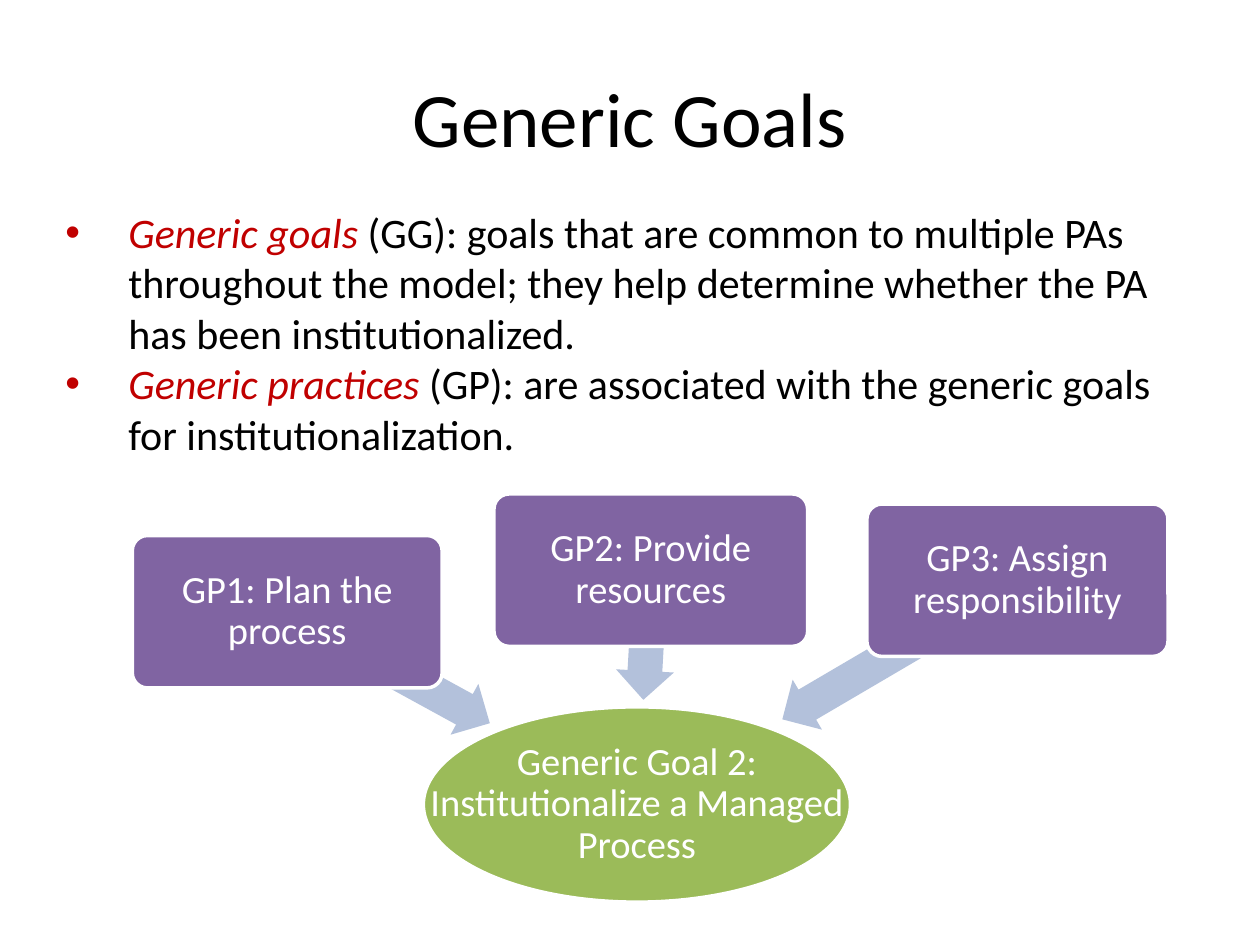
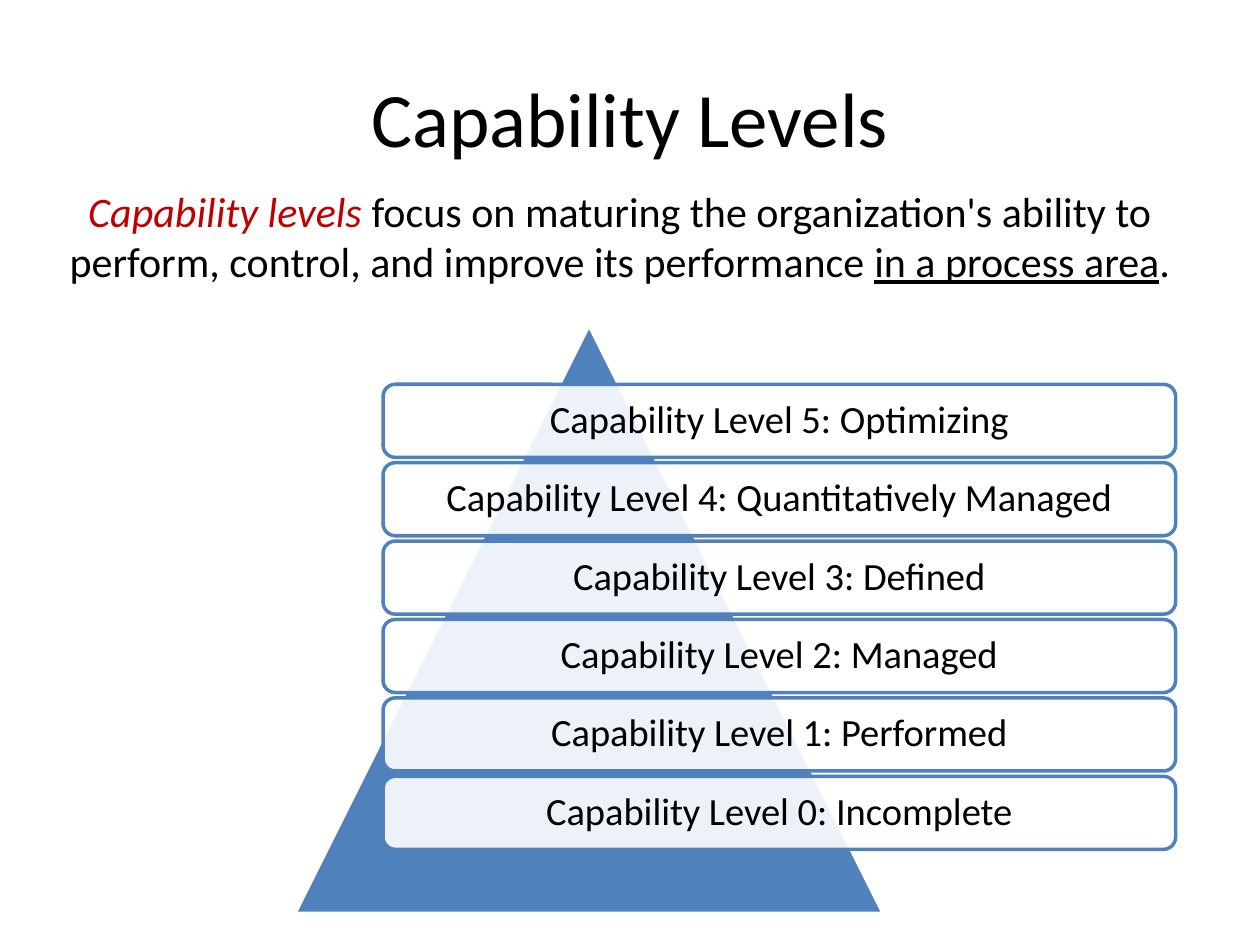
from lxml import etree
from pptx import Presentation
from pptx.dml.color import RGBColor
from pptx.enum.shapes import MSO_SHAPE
from pptx.enum.text import MSO_ANCHOR, PP_ALIGN
from pptx.oxml.ns import qn
from pptx.util import Pt

ROUNDED = MSO_SHAPE.ROUNDED_RECTANGLE
ELLIPSE = MSO_SHAPE.OVAL
ARROW = MSO_SHAPE.LEFT_ARROW
TRIANGLE = MSO_SHAPE.ISOSCELES_TRIANGLE
CENTER, LEFT = PP_ALIGN.CENTER, PP_ALIGN.LEFT
MIDDLE, TOP = MSO_ANCHOR.MIDDLE, MSO_ANCHOR.TOP

FONT = "Calibri"
COLORS = {
    "text": "000000",
    "white": "FFFFFF",
    "term": "C00000",
    "practice": "8064A2",
    "goal": "9BBB59",
    "arrow": "B3C1DB",
    "pyramid": "4F81BD",
}
TITLE_SIZE, BODY_SIZE, LABEL_SIZE = 44, 24, 22
LABEL_SPACING = 0.9
OUTLINE = 2

# Each paragraph is a list of (text, style); style is "", "term" or "underline".
GOALS_TITLE = "Generic Goals"
GOALS_TEXT = [
    [("Generic goals", "term"),
     (" (GG): goals that are common to multiple PAs throughout the model; "
      "they help determine whether the PA has been institutionalized.", "")],
    [("Generic practices", "term"),
     (" (GP): are associated with the generic goals for institutionalization.", "")],
]
GOAL = "Generic Goal 2: Institutionalize a Managed Process"
GOAL_AREA = (241.92, 403.92, 244.08, 111.6)
PRACTICE_HEIGHT, ARROW_HEIGHT = 87.12, 33.12
# label, (left, top, width) of the box, (left, top, width) and angle of its arrow
PRACTICES = [
    ("GP1: Plan the process", (75.6, 306, 177.12), (156.24, 365.04, 131.76), 208.7),
    ("GP2: Provide resources", (282.24, 282.24, 179.28), (332.64, 346.32, 74.16), 273.2),
    ("GP3: Assign responsibility", (495.36, 288, 172.08), (436.32, 354.96, 156.24), 329.6),
]

LEVELS_TITLE = "Capability Levels"
LEVELS_TEXT = [
    [("Capability levels", "term"),
     (" focus on maturing the organization's ability to perform, control, "
      "and improve its performance ", ""),
     ("in a process area", "underline"),
     (".", "")],
]
LEVELS = ["Incomplete", "Performed", "Managed", "Defined",
          "Quantitatively Managed", "Optimizing"]
PYRAMID_AREA = (168.48, 185.76, 336.24, 336.24)
LEVEL_LEFT, LEVEL_TOP, LEVEL_WIDTH, LEVEL_HEIGHT = 218.88, 219.6, 452.88, 41.76
LEVEL_PITCH = 44.8


def color(name):
    return RGBColor.from_string(COLORS[name])


def set_font(paragraph, size, color_name):
    font = paragraph.font
    font.name, font.size = FONT, Pt(size)
    font.color.rgb = color(color_name)


def add_shape(page, kind, area, fill, line=None, adjustments=()):
    shape = page.shapes.add_shape(kind, *map(Pt, area))
    shape.shadow.inherit = False
    shape.fill.solid()
    shape.fill.fore_color.rgb = color(fill)
    if line:
        shape.line.color.rgb = color(line)
        shape.line.width = Pt(OUTLINE)
    else:
        shape.line.fill.background()
    for index, value in enumerate(adjustments):
        shape.adjustments[index] = value
    return shape


def write_label(box, label, color_name, inset):
    frame = box.text_frame
    frame.word_wrap = True
    frame.vertical_anchor = MIDDLE
    frame.margin_left = frame.margin_right = Pt(inset)
    frame.margin_top = frame.margin_bottom = Pt(inset)
    paragraph = frame.paragraphs[0]
    paragraph.alignment = CENTER
    paragraph.line_spacing = LABEL_SPACING
    set_font(paragraph, LABEL_SIZE, color_name)
    paragraph.add_run().text = label


def add_bullet(paragraph):
    properties = paragraph._p.get_or_add_pPr()
    properties.set("marL", str(Pt(36)))
    properties.set("indent", str(-Pt(36)))
    bullet_color = etree.SubElement(properties, qn("a:buClr"))
    etree.SubElement(bullet_color, qn("a:srgbClr"), val=COLORS["term"])
    etree.SubElement(properties, qn("a:buFont"), typeface="Arial")
    etree.SubElement(properties, qn("a:buChar"), char="•")


def add_text(page, area, paragraphs, size=BODY_SIZE, anchor=TOP,
             alignment=CENTER, bullets=False):
    frame = page.shapes.add_textbox(*map(Pt, area)).text_frame
    frame.word_wrap = True
    frame.vertical_anchor = anchor
    for index, spans in enumerate(paragraphs):
        paragraph = frame.add_paragraph() if index else frame.paragraphs[0]
        paragraph.alignment = alignment
        if bullets:
            add_bullet(paragraph)
        set_font(paragraph, size, "text")
        for text, style in spans:
            span = paragraph.add_run()
            span.text = text
            if style == "term":
                span.font.italic = True
                span.font.color.rgb = color("term")
            elif style == "underline":
                span.font.underline = True


def add_page(deck, title):
    page = deck.slides.add_slide(deck.slide_layouts[6])
    add_text(page, (36, 21.6, 648, 90), [[(title, "")]], TITLE_SIZE, MIDDLE)
    return page


def build_goals(deck):
    page = add_page(deck, GOALS_TITLE)
    add_shape(page, ELLIPSE, GOAL_AREA, "goal", "white")
    # The label is wider than the text area inside an ellipse.
    goal_label = page.shapes.add_textbox(*map(Pt, GOAL_AREA))
    write_label(goal_label, GOAL, "white", 1.4)
    for label, box_place, arrow_place, angle in PRACTICES:
        arrow = add_shape(page, ARROW, (*arrow_place, ARROW_HEIGHT), "arrow",
                          adjustments=(0.6, 0.5))
        arrow.rotation = angle
        box = add_shape(page, ROUNDED, (*box_place, PRACTICE_HEIGHT),
                        "practice", "white", (0.1,))
        write_label(box, label, "white", 3.6)
    add_text(page, (30.24, 114.48, 648, 152.64), GOALS_TEXT,
             alignment=LEFT, bullets=True)


def build_levels(deck):
    page = add_page(deck, LEVELS_TITLE)
    add_shape(page, TRIANGLE, PYRAMID_AREA, "pyramid", "white")
    for row, level in enumerate(reversed(range(len(LEVELS)))):
        area = (LEVEL_LEFT, LEVEL_TOP + row * LEVEL_PITCH, LEVEL_WIDTH, LEVEL_HEIGHT)
        box = add_shape(page, ROUNDED, area, "white", "pyramid")
        fill_color = box.fill._xPr.find(".//" + qn("a:srgbClr"))
        etree.SubElement(fill_color, qn("a:alpha"), val="90000")
        write_label(box, f"Capability Level {level}: {LEVELS[level]}", "text", 6.5)
    add_text(page, (30.24, 102.24, 648, 65.52), LEVELS_TEXT)


def main():
    deck = Presentation()
    deck.slide_width, deck.slide_height = Pt(720), Pt(540)
    build_goals(deck)
    build_levels(deck)
    deck.save("out.pptx")


if __name__ == "__main__":
    main()
